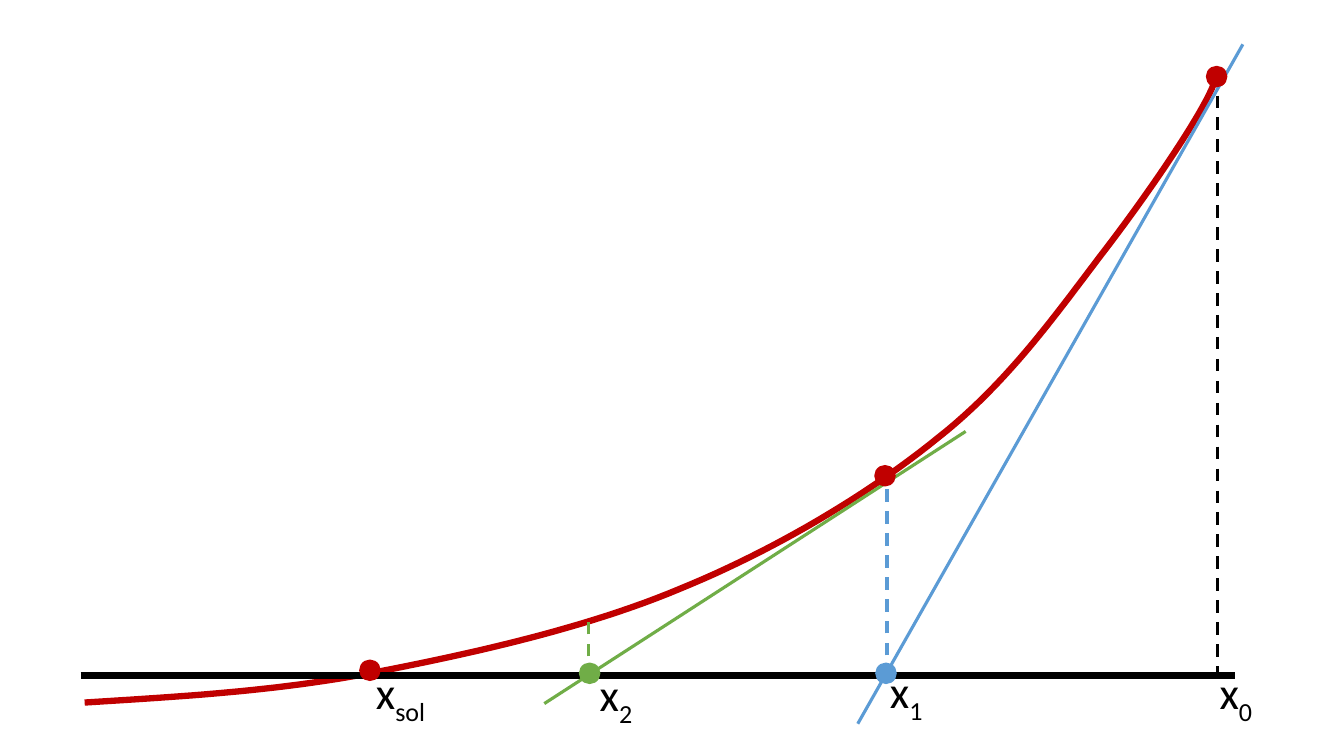
from dataclasses import dataclass

from lxml import etree
from pptx import Presentation
from pptx import util as u
from pptx.dml.color import RGBColor
from pptx.enum import dml, shapes, text
from pptx.oxml import ns

COLUMNS, ROWS = 160, 90
WIDTH, HEIGHT = u.Inches(13.33), u.Inches(7.5)

Point = tuple[float, float]


@dataclass(frozen=True)
class Theme:
    black: RGBColor = RGBColor(0x00, 0x00, 0x00)
    red: RGBColor = RGBColor(0xC0, 0x00, 0x00)
    blue: RGBColor = RGBColor(0x5B, 0x9B, 0xD5)
    green: RGBColor = RGBColor(0x70, 0xAD, 0x47)
    font: str = "Calibri"
    label_size: float = 32
    heavy: float = 4.5
    medium: float = 2.25
    outline: float = 1
    dot: float = 2.4
    label_height: float = 7.68


@dataclass(frozen=True)
class Segment:
    start: Point
    end: Point
    color: RGBColor
    weight: float
    dashed: bool = False


@dataclass(frozen=True)
class Dot:
    center: Point
    color: RGBColor


@dataclass(frozen=True)
class Label:
    subscript: str
    corner: Point
    width: float = 6.6


THEME = Theme()

# The first point, followed by three points for each cubic piece
CURVE: list[Point] = [
    (10.08, 83.64),
    (21.48, 82.92), (32.76, 82.32), (44.64, 80.04),
    (56.4, 77.76), (69.84, 74.76), (81, 70.08),
    (92.16, 65.52), (103.32, 58.92), (111.72, 52.08),
    (120.24, 45.36), (126.12, 36.84), (131.64, 29.64),
    (137.16, 22.44), (144.24, 12), (144.72, 9.24),
]
SEGMENTS = [
    Segment((9.6, 80.4), (147, 80.4), THEME.black, THEME.heavy),
    Segment((144.96, 8.76), (144.96, 80.28), THEME.black, THEME.medium, True),
    Segment((102.12, 86.16), (147.96, 5.28), THEME.blue, THEME.medium),
    Segment((105.6, 80.64), (105.6, 56.64), THEME.blue, THEME.medium, True),
    Segment((64.8, 83.76), (114.96, 51.36), THEME.green, THEME.medium),
    Segment((70.08, 80.76), (70.08, 73.92), THEME.green, THEME.medium, True),
]
CURVE_DOTS = [
    Dot((144.84, 9.12), THEME.red),
    Dot((105.36, 56.64), THEME.red),
    Dot((44.04, 79.8), THEME.red),
]
AXIS_DOTS = [
    Dot((105.48, 80.16), THEME.blue),
    Dot((70.2, 80.16), THEME.green),
]
LABELS = [
    Label("0", (144, 78.6)),
    Label("1", (104.76, 78.48)),
    Label("2", (70.2, 78.84)),
    Label("sol", (43.56, 78.6), 8.88),
]


def across(columns: float) -> int:
    return round(WIDTH * columns / COLUMNS)


def down(rows: float) -> int:
    return round(HEIGHT * rows / ROWS)


def bezier(points: list[Point], t: float) -> Point:
    """Return the point at share t of one cubic piece."""
    s = 1 - t
    weights = (s**3, 3 * s * s * t, 3 * s * t * t, t**3)
    x, y = (sum(w * p[i] for w, p in zip(weights, points)) for i in (0, 1))
    return x, y


def draw_curve(page, steps: int = 24) -> None:
    trace = [
        bezier(CURVE[first:first + 4], step / steps)
        for first in range(0, len(CURVE) - 1, 3)
        for step in range(1, steps + 1)
    ]
    builder = page.shapes.build_freeform(across(CURVE[0][0]), down(CURVE[0][1]))
    builder.add_line_segments([(across(x), down(y)) for x, y in trace], close=False)
    curve = builder.convert_to_shape()
    curve.shadow.inherit = False
    curve.fill.background()
    curve.line.color.rgb = THEME.red
    curve.line.width = u.Pt(THEME.heavy)


def draw_segment(page, segment: Segment) -> None:
    (x1, y1), (x2, y2) = segment.start, segment.end
    line = page.shapes.add_connector(
        shapes.MSO_CONNECTOR.STRAIGHT, across(x1), down(y1), across(x2), down(y2))
    line.line.color.rgb = segment.color
    line.line.width = u.Pt(segment.weight)
    if segment.dashed:
        line.line.dash_style = dml.MSO_LINE.DASH
    etree.SubElement(line._element.spPr, ns.qn("a:effectLst"))


def draw_dot(page, dot: Dot) -> None:
    x, y = dot.center
    radius = THEME.dot / 2
    circle = page.shapes.add_shape(
        shapes.MSO_SHAPE.OVAL, across(x - radius), down(y - radius),
        across(THEME.dot), down(THEME.dot))
    circle.shadow.inherit = False
    circle.fill.solid()
    circle.fill.fore_color.rgb = dot.color
    circle.line.color.rgb = dot.color
    circle.line.width = u.Pt(THEME.outline)


def draw_label(page, label: Label) -> None:
    x, y = label.corner
    box = page.shapes.add_textbox(
        across(x), down(y), across(label.width), down(THEME.label_height))
    frame = box.text_frame
    frame.word_wrap = False
    frame.auto_size = text.MSO_AUTO_SIZE.SHAPE_TO_FIT_TEXT
    para = frame.paragraphs[0]
    para.text = "x"
    subscript = para.add_run()
    subscript.text = label.subscript
    for span in para.runs:
        span.font.name = THEME.font
        span.font.size = u.Pt(THEME.label_size)
        span.font.color.rgb = THEME.black
    subscript._r.get_or_add_rPr().set("baseline", "-25000")


def main() -> None:
    deck = Presentation()
    deck.slide_width, deck.slide_height = WIDTH, HEIGHT
    page = deck.slides.add_slide(deck.slide_layouts[6])
    draw_curve(page)
    for segment in SEGMENTS:
        draw_segment(page, segment)
    for dot in CURVE_DOTS + AXIS_DOTS:
        draw_dot(page, dot)
    for label in LABELS:
        draw_label(page, label)
    deck.save("out.pptx")


if __name__ == "__main__":
    main()
